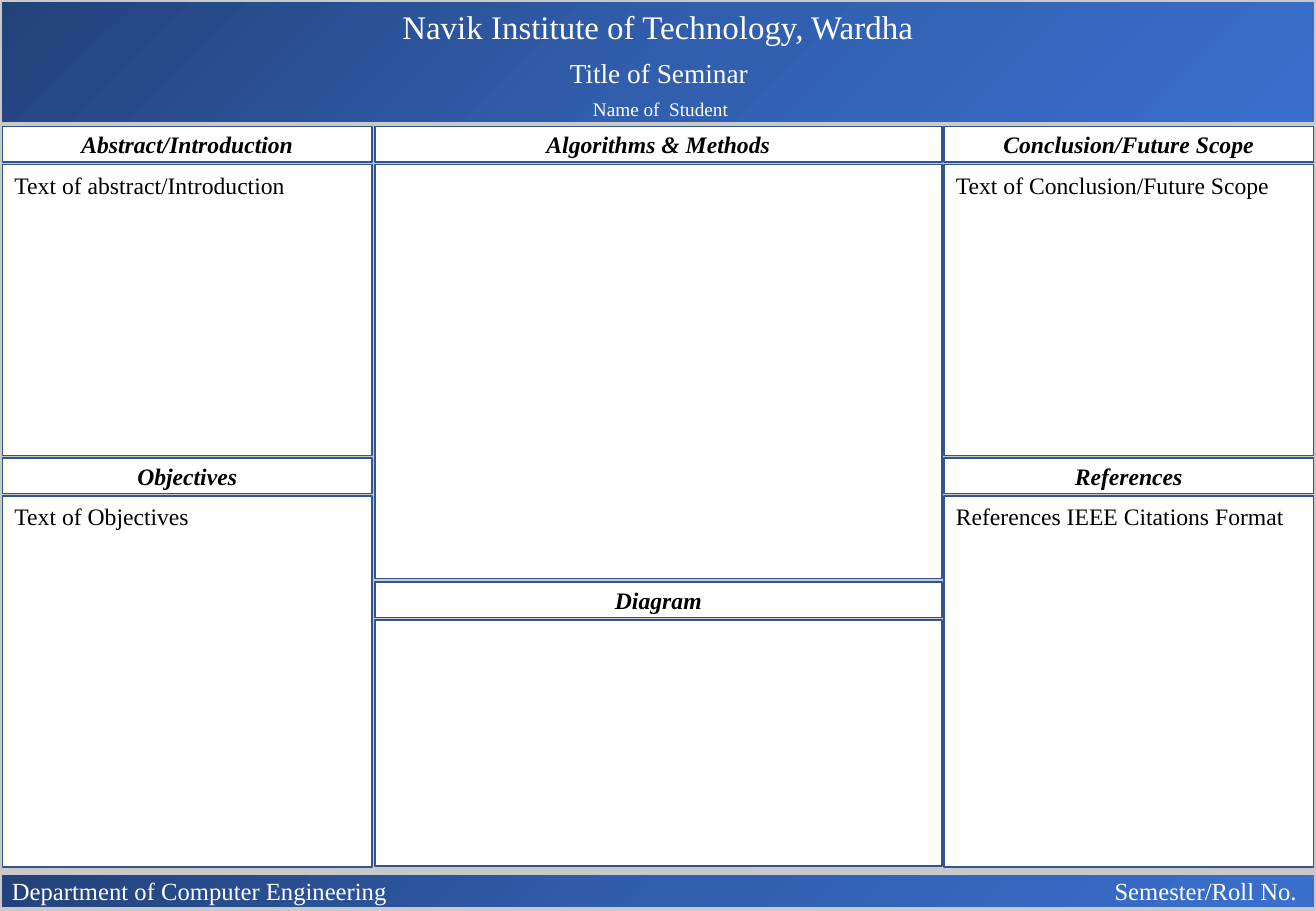
from copy import deepcopy
from typing import NamedTuple

from pptx import Presentation
from pptx.dml.color import RGBColor
from pptx.enum.shapes import MSO_SHAPE
from pptx.enum.text import MSO_ANCHOR, PP_ALIGN
from pptx.oxml.ns import qn
from pptx.shapes.autoshape import Shape
from pptx.slide import Slide
from pptx.util import Pt

WIDTH, HEIGHT = 780, 540
FONT = "Times New Roman"
WHITE = RGBColor(0xFF, 0xFF, 0xFF)
BLACK = RGBColor(0x00, 0x00, 0x00)
GREY = RGBColor(0xC9, 0xC9, 0xC9)
BORDER_BLUE = RGBColor(0x32, 0x54, 0x91)
BAND_BLUES = (
    RGBColor(0x23, 0x42, 0x7A),
    RGBColor(0x31, 0x5E, 0xAD),
    RGBColor(0x3A, 0x6F, 0xCE),
)
HEADING_HEIGHT = 21
BODY_OFFSET = 22.5


class Label(NamedTuple):
    text: str
    left: float
    top: float
    width: float
    height: float
    size: float
    align: PP_ALIGN


class Section(NamedTuple):
    heading: str
    body: str
    top: float
    body_height: float


class Column(NamedTuple):
    left: float
    width: float
    sections: tuple[Section, ...]


LABELS = (
    Label("Navik Institute of Technology, Wardha", 190, 0.2, 400, 31, 19.5, PP_ALIGN.CENTER),
    Label("Title of Seminar", 290, 29.7, 201, 27, 16.2, PP_ALIGN.CENTER),
    Label("Name of  Student", 291, 54, 201, 21, 11.4, PP_ALIGN.CENTER),
    Label("Department of Computer Engineering", 0, 515.5, 260, 25, 14.6, PP_ALIGN.LEFT),
    Label("Semester/Roll No.", 653.5, 515.5, 126, 25, 14.6, PP_ALIGN.LEFT),
)
COLUMNS = (
    Column(1.5, 219, (
        Section("Abstract/Introduction", "Text of abstract/Introduction", 75, 172.5),
        Section("Objectives", "Text of Objectives", 271.5, 220),
    )),
    Column(559.5, 219, (
        Section("Conclusion/Future Scope", "Text of Conclusion/Future Scope", 75, 172.5),
        Section("References", "References IEEE Citations Format", 271.5, 220),
    )),
    Column(222.2, 336, (
        Section("Algorithms & Methods", "", 75, 245.5),
        Section("Diagram", "", 345, 146),
    )),
)


def write_text(
    shape: Shape,
    text: str,
    *,
    size: float = 14,
    color: RGBColor = BLACK,
    align: PP_ALIGN = PP_ALIGN.LEFT,
    anchor: MSO_ANCHOR = MSO_ANCHOR.TOP,
    emphasis: bool = False,
    wrap: bool = True,
) -> None:
    """Fill the shape with one paragraph; emphasis means bold italic."""
    frame = shape.text_frame
    frame.word_wrap = wrap
    frame.vertical_anchor = anchor
    paragraph = frame.paragraphs[0]
    paragraph.alignment = align
    run = paragraph.add_run()
    run.text = text
    font = run.font
    font.name, font.size, font.color.rgb = FONT, Pt(size), color
    font.bold = font.italic = emphasis


def add_rectangle(
    slide: Slide, left: float, top: float, width: float, height: float,
    line_color: RGBColor, line_width: float,
) -> Shape:
    shape = slide.shapes.add_shape(
        MSO_SHAPE.RECTANGLE, Pt(left), Pt(top), Pt(width), Pt(height)
    )
    shape.shadow.inherit = False
    shape.line.color.rgb = line_color
    shape.line.width = Pt(line_width)
    return shape


def add_band(slide: Slide, top: float, height: float) -> None:
    """Add a full-width bar with a diagonal three-stop gradient."""
    band = add_rectangle(slide, 0, top, WIDTH, height, GREY, 2.25)
    band.fill.gradient()
    band.fill.gradient_angle = 315
    stop_list = band._element.spPr.find(qn("a:gradFill")).find(qn("a:gsLst"))
    stop_list.insert(1, deepcopy(stop_list[0]))
    for index, (stop, color) in enumerate(zip(band.fill.gradient_stops, BAND_BLUES)):
        stop.position = index / 2
        stop.color.rgb = color


def add_label(slide: Slide, label: Label) -> None:
    box = slide.shapes.add_textbox(
        Pt(label.left), Pt(label.top), Pt(label.width), Pt(label.height)
    )
    write_text(box, label.text, size=label.size, color=WHITE, align=label.align)


def add_panel(slide: Slide, left: float, top: float, width: float, height: float) -> Shape:
    panel = add_rectangle(slide, left, top, width, height, BORDER_BLUE, 1)
    panel.fill.solid()
    panel.fill.fore_color.rgb = WHITE
    return panel


def add_section(slide: Slide, column: Column, section: Section) -> None:
    heading = add_panel(slide, column.left, section.top, column.width, HEADING_HEIGHT)
    write_text(
        heading, section.heading,
        align=PP_ALIGN.CENTER, anchor=MSO_ANCHOR.MIDDLE, emphasis=True,
    )
    body = add_panel(
        slide, column.left, section.top + BODY_OFFSET, column.width, section.body_height
    )
    if section.body:
        write_text(body, section.body, align=PP_ALIGN.JUSTIFY)


def main() -> None:
    presentation = Presentation()
    presentation.slide_width, presentation.slide_height = Pt(WIDTH), Pt(HEIGHT)
    slide = presentation.slides.add_slide(presentation.slide_layouts[6])
    slide.background.fill.solid()
    slide.background.fill.fore_color.rgb = GREY

    add_band(slide, 0, 73.5)
    add_band(slide, 517.5, 21)
    for label in LABELS:
        add_label(slide, label)
    for column in COLUMNS:
        for section in column.sections:
            add_section(slide, column, section)

    presentation.save("out.pptx")


if __name__ == "__main__":
    main()
